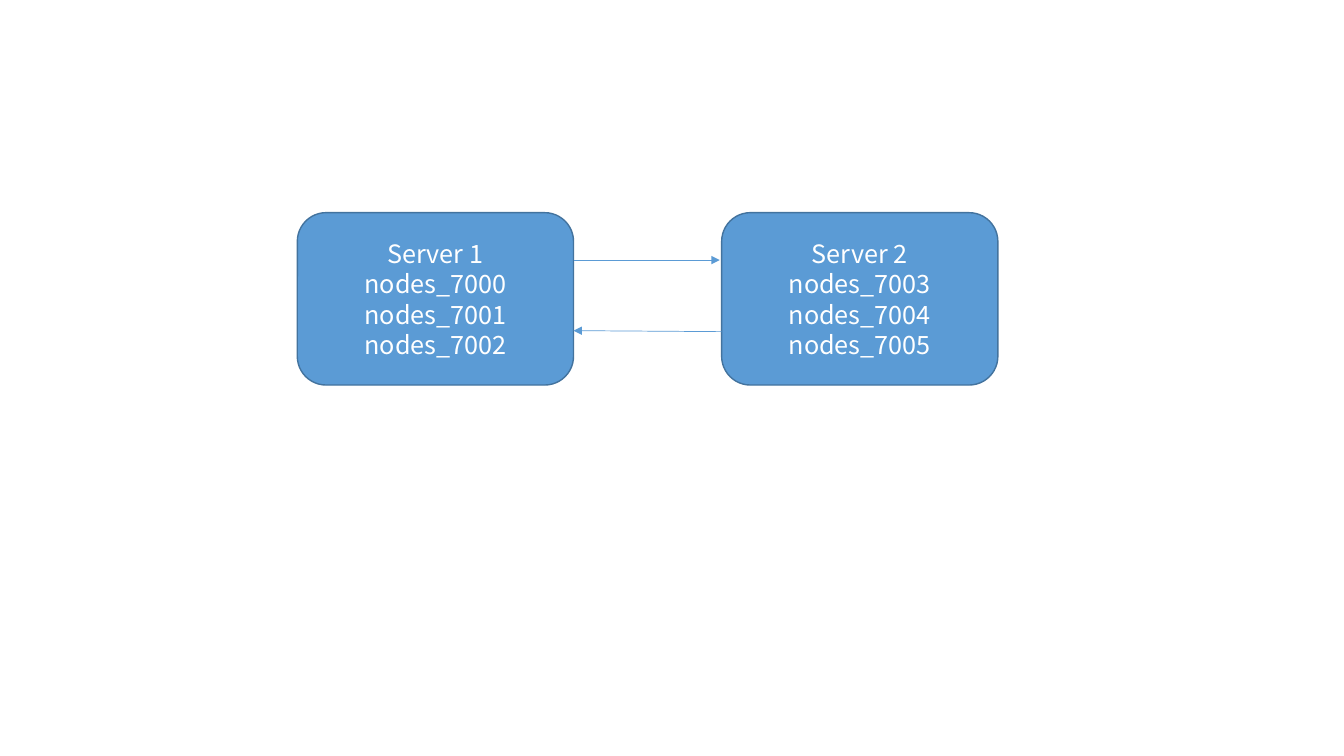
from lxml import etree
from pptx import Presentation
from pptx.dml.color import RGBColor
from pptx.enum.shapes import MSO_CONNECTOR, MSO_SHAPE
from pptx.enum.text import MSO_ANCHOR, PP_ALIGN
from pptx.oxml.ns import qn
from pptx.util import Pt

ROUNDED = MSO_SHAPE.ROUNDED_RECTANGLE
STRAIGHT = MSO_CONNECTOR.STRAIGHT
MIDDLE = MSO_ANCHOR.MIDDLE
CENTER = PP_ALIGN.CENTER

FONT = "Noto Sans CJK SC"
COLORS = {"blue": "5B9BD5", "border": "43739E", "white": "FFFFFF"}

SERVER_TOP, SERVER_WIDTH, SERVER_HEIGHT = 151.9, 197.3, 123.1
SERVER_LEFTS = (212.4, 515.5)
NODES_PER_SERVER = 3
FIRST_PORT = 7000


def color(name):
    """Return the named colour."""
    return RGBColor.from_string(COLORS[name])


def write_text(shape, lines, size=18, font_color="white", spacing=21.67):
    """Write centred lines into a shape, one paragraph each."""
    frame = shape.text_frame
    frame.word_wrap = True
    frame.vertical_anchor = MIDDLE
    frame.text = "\n".join(lines)
    for paragraph in frame.paragraphs:
        paragraph.alignment = CENTER
        paragraph.line_spacing = Pt(spacing)
        font = paragraph.runs[0].font
        font.name = FONT
        font.size = Pt(size)
        font.color.rgb = color(font_color)


def add_server(slide, left, top, width, height, lines):
    """Draw one server box with its node names."""
    shape = slide.shapes.add_shape(ROUNDED, Pt(left), Pt(top), Pt(width), Pt(height))
    shape.shadow.inherit = False
    shape.fill.solid()
    shape.fill.fore_color.rgb = color("blue")
    shape.line.color.rgb = color("border")
    shape.line.width = Pt(1)
    write_text(shape, lines)


def add_arrow(slide, start, end):
    """Draw a thin arrow from start to end."""
    arrow = slide.shapes.add_connector(STRAIGHT, *map(Pt, start + end))
    arrow.line.color.rgb = color("blue")
    arrow.line.width = Pt(0.5)
    etree.SubElement(arrow.line._get_or_add_ln(), qn("a:tailEnd"), type="triangle")
    etree.SubElement(arrow._element.spPr, qn("a:effectLst"))


def add_exchange(slide, left, top, right):
    """Draw the arrows that run both ways between the servers."""
    add_arrow(slide, (left, top + 33.9), (right - 1.4, top + 33.9))
    add_arrow(slide, (right, top + 85), (left, top + 84.3))


def main():
    """Build and save the slide."""
    presentation = Presentation()
    presentation.slide_width = Pt(960)
    presentation.slide_height = Pt(540)
    slide = presentation.slides.add_slide(presentation.slide_layouts[6])
    for index, left in enumerate(SERVER_LEFTS):
        port = FIRST_PORT + index * NODES_PER_SERVER
        nodes = [f"nodes_{port + offset}" for offset in range(NODES_PER_SERVER)]
        lines = [f"Server {index + 1}"] + nodes
        add_server(slide, left, SERVER_TOP, SERVER_WIDTH, SERVER_HEIGHT, lines)
    add_exchange(slide, SERVER_LEFTS[0] + SERVER_WIDTH, SERVER_TOP, SERVER_LEFTS[1])
    presentation.save("out.pptx")


if __name__ == "__main__":
    main()
